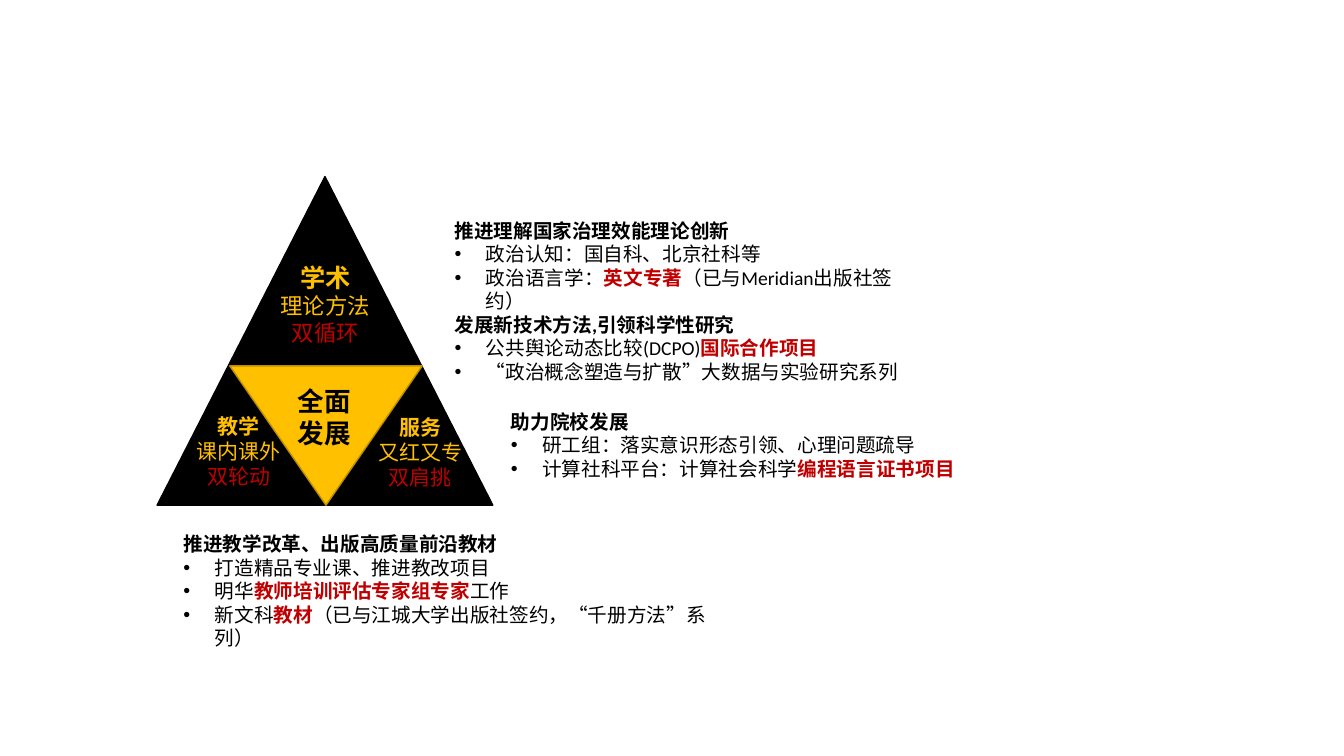
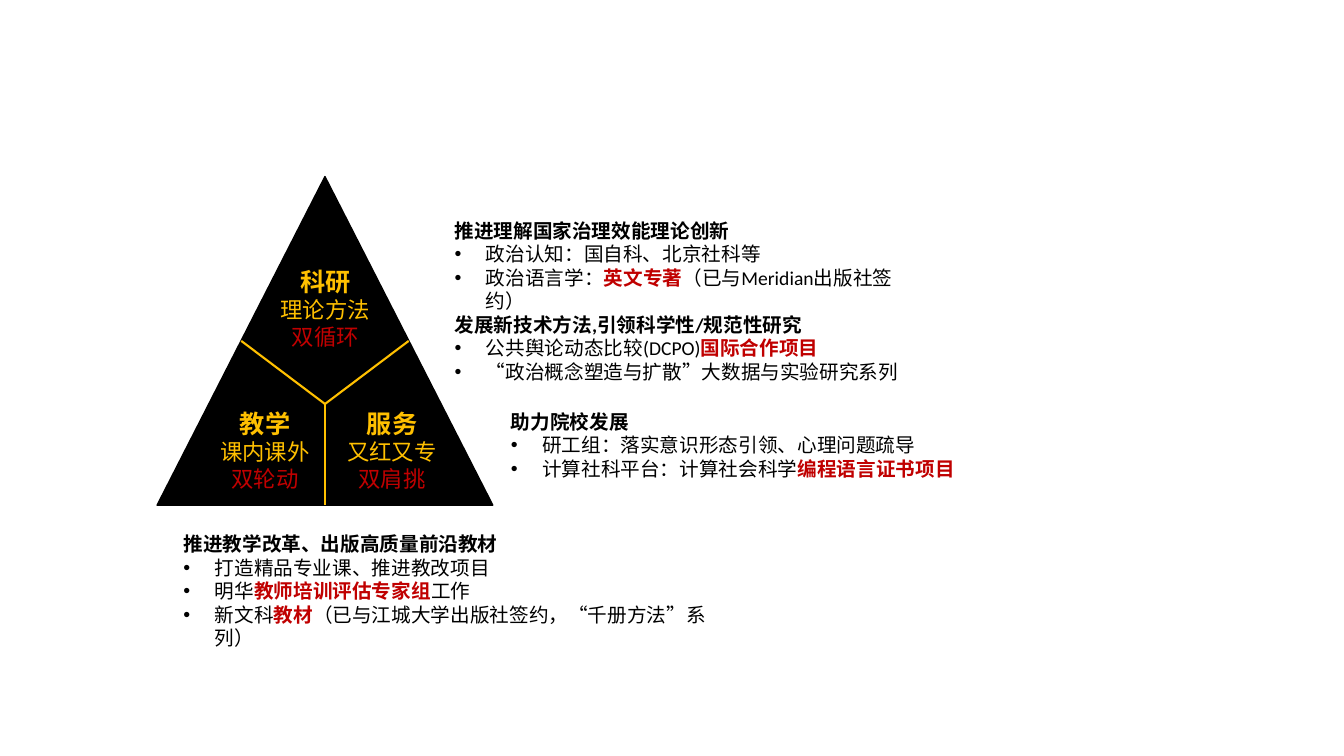
from dataclasses import dataclass

from lxml import etree
from pptx import Presentation
from pptx.dml.color import RGBColor
from pptx.enum.lang import MSO_LANGUAGE_ID
from pptx.enum.shapes import MSO_CONNECTOR, MSO_SHAPE
from pptx.enum.text import MSO_ANCHOR, MSO_AUTO_SIZE, PP_ALIGN
from pptx.oxml.ns import qn
from pptx.util import Cm, Pt

TRIANGLE = MSO_SHAPE.ISOSCELES_TRIANGLE
STRAIGHT = MSO_CONNECTOR.STRAIGHT
CENTER = PP_ALIGN.CENTER
LEFT = PP_ALIGN.LEFT
TOP = MSO_ANCHOR.TOP
FIT_SHAPE = MSO_AUTO_SIZE.SHAPE_TO_FIT_TEXT
CHINESE = MSO_LANGUAGE_ID.SIMPLIFIED_CHINESE


@dataclass(frozen=True)
class Theme:
    font: str = "Calibri"
    black: RGBColor = RGBColor(0x00, 0x00, 0x00)
    gold: RGBColor = RGBColor(0xFF, 0xC0, 0x00)
    dark_gold: RGBColor = RGBColor(0xBD, 0x8E, 0x00)
    red: RGBColor = RGBColor(0xC0, 0x00, 0x00)
    list_size: int = 14
    core_size: int = 19
    large_label: tuple = (18, 16)
    small_label: tuple = (15, 15)
    indent: float = 0.79


theme = Theme()


def add_run(paragraph, text, size, colour, bold):
    run = paragraph.add_run()
    run.text = text
    run.font.name = theme.font
    run.font.size = Pt(size)
    run.font.bold = bold
    run.font.color.rgb = colour
    run.font.language_id = CHINESE


def add_triangle(shapes, left, top, width, height, fill, line):
    shape = shapes.add_shape(TRIANGLE, Cm(left), Cm(top), Cm(width), Cm(height))
    shape.shadow.inherit = False
    shape.fill.solid()
    shape.fill.fore_color.rgb = fill
    shape.line.color.rgb = line
    shape.line.width = Pt(1)
    return shape


tri_left, tri_top, tri_width, tri_height = 3.96, 4.45, 8.46, 8.28
center_x = tri_left + tri_width / 2
base_y = tri_top + tri_height
hub_y = 10.18
arm_x, arm_y = 2.11, 8.59
label_width = 3

teaching = ("教学", "课内课外", "双轮动")
service = ("服务", "又红又专", "双肩挑")
method = ("理论方法", "双循环")

slide_contents = [
    {
        "labels": [
            (6.7, 6.48, 2.39, theme.large_label, ("学术", *method)),
            (4.52, 10.29, 2.18, theme.small_label, teaching),
            (9.09, 10.31, 2.18, theme.small_label, service),
        ],
        "spokes": [],
        "core": "全面发展",
        "research": "发展新技术方法,引领科学性研究".replace(",", ","),
        "experts": "教师培训评估专家组专家",
    },
    {
        "labels": [
            (6.7, 6.58, 2.39, theme.large_label, ("科研", *method)),
            (5.18, 10.16, 2.39, theme.large_label, teaching),
            (8.38, 10.16, 2.39, theme.large_label, service),
        ],
        "spokes": [
            (center_x, base_y),
            (center_x - arm_x, arm_y),
            (center_x + arm_x, arm_y),
        ],
        "core": None,
        "research": "发展新技术方法,引领科学性/规范性研究".replace(",", ","),
        "experts": "教师培训评估专家组",
    },
]

presentation = Presentation()
presentation.slide_width = Cm(33.87)
presentation.slide_height = Cm(19.05)
comparison_layout = presentation.slide_layouts[4]

for content in slide_contents:
    slide = presentation.slides.add_slide(comparison_layout)
    placeholders = {item.placeholder_format.idx: item for item in slide.placeholders}

    lists = {
        1: ((11.2, 5.38, 12.32, 3.84), [
            "推进理解国家治理效能理论创新",
            ("政治认知：国自科、北京社科等",),
            ("政治语言学：", "英文专著", "（已与Meridian出版社签约）"),
            content["research"],
            ("公共舆论动态比较(DCPO)", "国际合作项目"),
            ("“政治概念塑造与扩散”大数据与实验研究系列",),
        ]),
        2: ((4.37, 13.28, 13.72, 2.64), [
            "推进教学改革、出版高质量前沿教材",
            ("打造精品专业课、推进教改项目",),
            ("明华", content["experts"], "工作"),
            ("新文科", "教材", "（已与江城大学出版社签约，“千册方法”系列）"),
        ]),
        4: ((12.62, 10.19, 11.73, 2.06), [
            "助力院校发展",
            ("研工组：落实意识形态引领、心理问题疏导",),
            ("计算社科平台：计算社会科学", "编程语言证书项目"),
        ]),
    }

    for index, placeholder in placeholders.items():
        if index not in lists:
            placeholder.element.getparent().remove(placeholder.element)
            continue
        (left, top, width, height), lines = lists[index]
        placeholder.left, placeholder.top = Cm(left), Cm(top)
        placeholder.width, placeholder.height = Cm(width), Cm(height)
        frame = placeholder.text_frame
        frame.word_wrap = True
        frame.auto_size = FIT_SHAPE
        frame.vertical_anchor = TOP
        for number, line in enumerate(lines):
            paragraph = frame.paragraphs[0] if number == 0 else frame.add_paragraph()
            paragraph.alignment = LEFT
            paragraph.space_before = Pt(0)
            properties = paragraph._p.get_or_add_pPr()
            if isinstance(line, str):
                properties.set("marL", "0")
                properties.set("indent", "0")
                etree.SubElement(properties, qn("a:buNone"))
                add_run(paragraph, line, theme.list_size, theme.black, True)
                continue
            properties.set("marL", str(Cm(theme.indent)))
            properties.set("indent", str(-Cm(theme.indent)))
            etree.SubElement(properties, qn("a:buFont"), typeface="Arial")
            etree.SubElement(properties, qn("a:buChar"), char="•")
            for position, text in enumerate(line):
                highlighted = position == 1
                colour = theme.red if highlighted else theme.black
                add_run(paragraph, text, theme.list_size, colour, highlighted)

    group = slide.shapes.add_group_shape()
    add_triangle(group.shapes, tri_left, tri_top, tri_width, tri_height,
                 theme.black, theme.black)

    for end_x, end_y in content["spokes"]:
        spoke = group.shapes.add_connector(
            STRAIGHT, Cm(center_x), Cm(hub_y), Cm(end_x), Cm(end_y))
        spoke.line.color.rgb = theme.gold
        spoke.line.width = Pt(1.5)
        etree.SubElement(spoke._element.spPr, qn("a:effectLst"))

    for left, top, height, (head_size, text_size), words in content["labels"]:
        label = group.shapes.add_textbox(Cm(left), Cm(top), Cm(label_width), Cm(height))
        frame = label.text_frame
        frame.word_wrap = True
        frame.auto_size = FIT_SHAPE
        styles = [
            (head_size, theme.gold, True),
            (text_size, theme.gold, False),
            (text_size, theme.red, False),
        ]
        for number, (word, style) in enumerate(zip(words, styles)):
            paragraph = frame.paragraphs[0] if number == 0 else frame.add_paragraph()
            paragraph.alignment = CENTER
            add_run(paragraph, word, *style)

    if content["core"]:
        core = add_triangle(slide.shapes, 5.79, 9.22, 4.85, 3.51,
                            theme.gold, theme.dark_gold)
        core.rotation = 180
        core_label = slide.shapes.add_textbox(Cm(7.26), Cm(9.58), Cm(1.86), Cm(1.88))
        frame = core_label.text_frame
        frame.word_wrap = True
        frame.auto_size = FIT_SHAPE
        add_run(frame.paragraphs[0], content["core"], theme.core_size, theme.black, True)

presentation.save("out.pptx")
